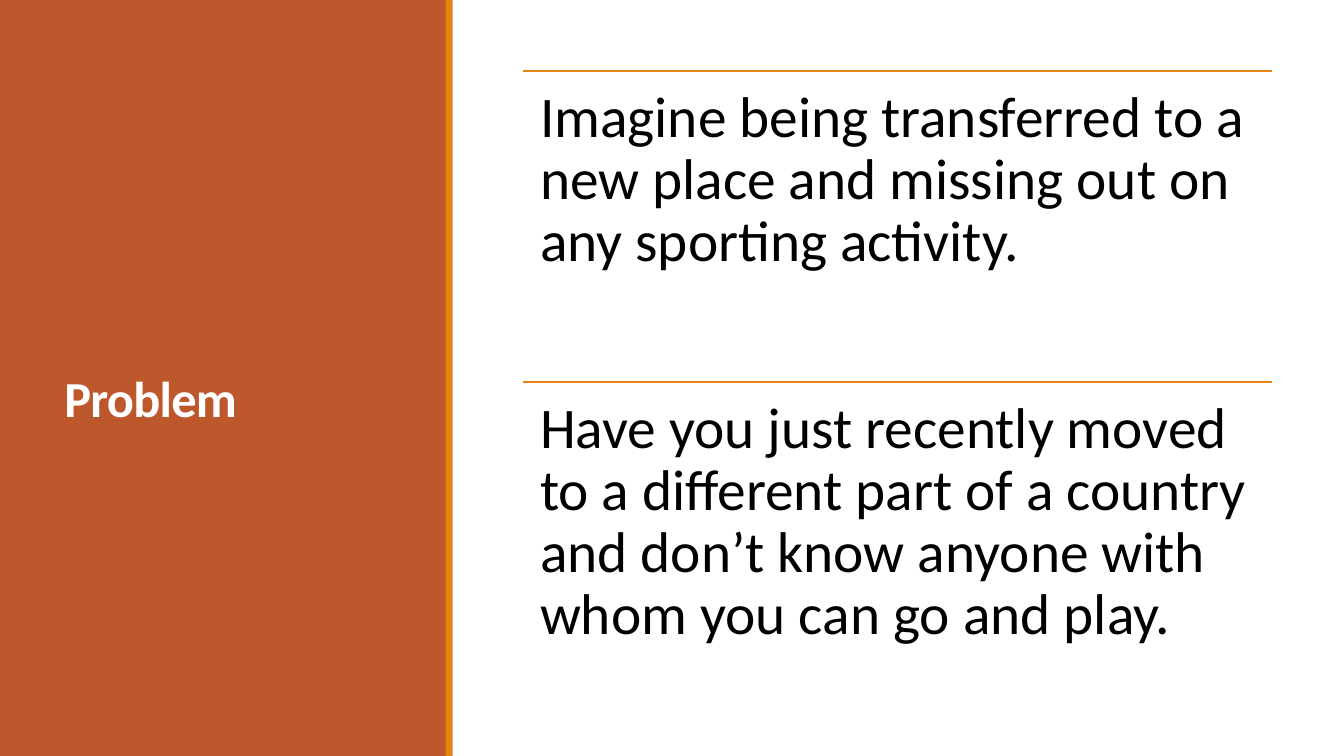
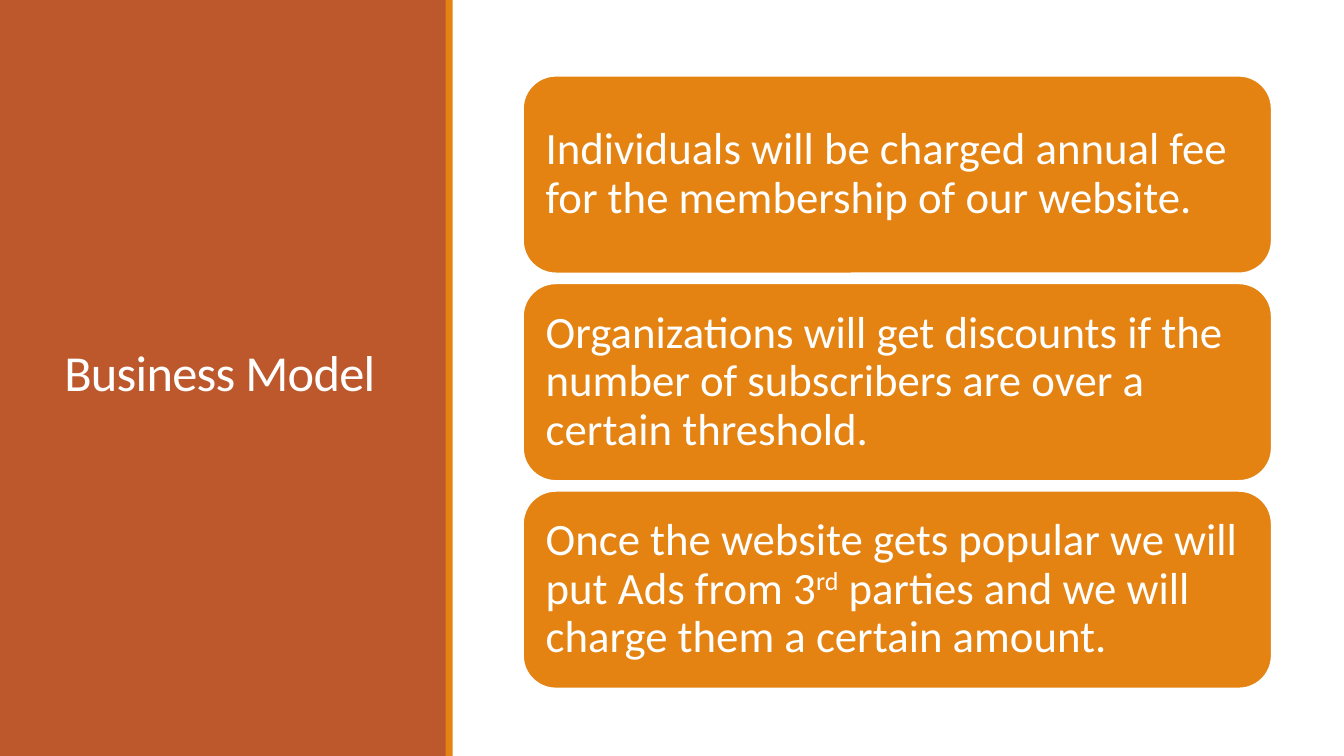
"""Builds the Problem and Business Model slides with a shared side panel."""
from lxml.etree import SubElement
from pptx import Presentation
from pptx.dml.color import RGBColor
from pptx.enum.shapes import MSO_CONNECTOR, MSO_SHAPE
from pptx.enum.text import MSO_ANCHOR, MSO_AUTO_SIZE, PP_ALIGN
from pptx.oxml.ns import qn
from pptx.util import Cm, Pt

PROBLEMS = [
    "Imagine being transferred to a new place and missing out on any sporting activity.",
    "Have you just recently moved to a different part of a country and don’t know "
    "anyone with whom you can go and play.",
]
REVENUE_RULES = [
    [("Individuals will be charged annual fee for the membership of our website.", False)],
    [("Organizations will get discounts if the number of subscribers are over a "
      "certain threshold.", False)],
    [("Once the website gets popular we will put Ads from 3", False), ("rd", True),
     (" parties and we will charge them a certain amount.", False)],
]

COLORS = {"panel": "BD582C", "accent": "E48312", "light": "FFFFFF", "dark": "000000"}
FONT = "Calibri"
SLIDE_WIDTH, SLIDE_HEIGHT = Cm(33.87), Cm(19.05)
BANDS = [("panel", Cm(0), Cm(11.25)), ("accent", Cm(11.23), Cm(0.18))]
CONTENT_LEFT, CONTENT_WIDTH = Cm(13.18), Cm(18.87)
PROBLEM_TOP, PROBLEM_HEIGHT = Cm(1.78), Cm(7.85)
CARD_TOP, CARD_HEIGHT, CARD_GAP = Cm(1.91), Cm(4.98), Cm(0.25)


def color(key):
    return RGBColor.from_string(COLORS[key])


def style_paragraph(paragraph, size, ink, spacing):
    paragraph.alignment = PP_ALIGN.LEFT
    paragraph.line_spacing = spacing
    paragraph.font.name = FONT
    paragraph.font.size = Pt(size)
    paragraph.font.color.rgb = color(ink)


def set_frame(frame, inset, anchor):
    frame.word_wrap = True
    frame.auto_size = MSO_AUTO_SIZE.NONE
    frame.vertical_anchor = anchor
    frame.margin_left = frame.margin_right = inset
    frame.margin_top = frame.margin_bottom = inset


def add_panel_slide(deck, heading, bold=False, drop=Cm(0)):
    slide = deck.slides.add_slide(deck.slide_layouts[5])
    title = slide.shapes.title
    for fill, left, width in BANDS:
        band = slide.shapes.add_shape(MSO_SHAPE.RECTANGLE, left, 0, width, SLIDE_HEIGHT)
        band.shadow.inherit = False
        band.fill.solid()
        band.fill.fore_color.rgb = color(fill)
        band.line.fill.background()
        title.element.addprevious(band.element)
    title.left, title.top = Cm(1.37), Cm(1.45) + drop
    title.width, title.height = Cm(8.56), Cm(16.03)
    title.text = heading
    set_frame(title.text_frame, Cm(0.25), MSO_ANCHOR.MIDDLE)
    paragraph = title.text_frame.paragraphs[0]
    style_paragraph(paragraph, 36, "light", 0.85)
    paragraph.font.bold = bold
    paragraph.runs[0].font.bold = bold
    paragraph.runs[0]._r.get_or_add_rPr().set("spc", "-50")
    return slide


def add_problem(slide, statement, top):
    rule = slide.shapes.add_connector(
        MSO_CONNECTOR.STRAIGHT, CONTENT_LEFT, top, CONTENT_LEFT + CONTENT_WIDTH, top)
    rule.line.color.rgb = color("accent")
    rule.line.width = Pt(1.25)
    SubElement(rule.element.spPr, qn("a:effectLst"))
    body = slide.shapes.add_textbox(CONTENT_LEFT, top, CONTENT_WIDTH, PROBLEM_HEIGHT)
    set_frame(body.text_frame, Cm(0.43), MSO_ANCHOR.TOP)
    body.text_frame.text = statement
    style_paragraph(body.text_frame.paragraphs[0], 41, "dark", 0.9)


def add_card(slide, pieces, top):
    card = slide.shapes.add_shape(
        MSO_SHAPE.ROUNDED_RECTANGLE, CONTENT_LEFT, top, CONTENT_WIDTH, CARD_HEIGHT)
    card.shadow.inherit = False
    card.fill.solid()
    card.fill.fore_color.rgb = color("accent")
    card.line.color.rgb = color("light")
    card.line.width = Pt(1.25)
    set_frame(card.text_frame, Cm(0.33), MSO_ANCHOR.MIDDLE)
    paragraph = card.text_frame.paragraphs[0]
    style_paragraph(paragraph, 32, "light", 0.9)
    for words, raised in pieces:
        run = paragraph.add_run()
        run.text = words
        if raised:
            run._r.get_or_add_rPr().set("baseline", "30000")


def main():
    deck = Presentation()
    deck.slide_width, deck.slide_height = SLIDE_WIDTH, SLIDE_HEIGHT

    problem = add_panel_slide(deck, "Problem", bold=True, drop=Cm(0.66))
    for row, statement in enumerate(PROBLEMS):
        add_problem(problem, statement, PROBLEM_TOP + row * PROBLEM_HEIGHT)

    business = add_panel_slide(deck, "Business Model")
    for row, pieces in enumerate(REVENUE_RULES):
        add_card(business, pieces, CARD_TOP + row * (CARD_HEIGHT + CARD_GAP))

    deck.save("out.pptx")


if __name__ == "__main__":
    main()
